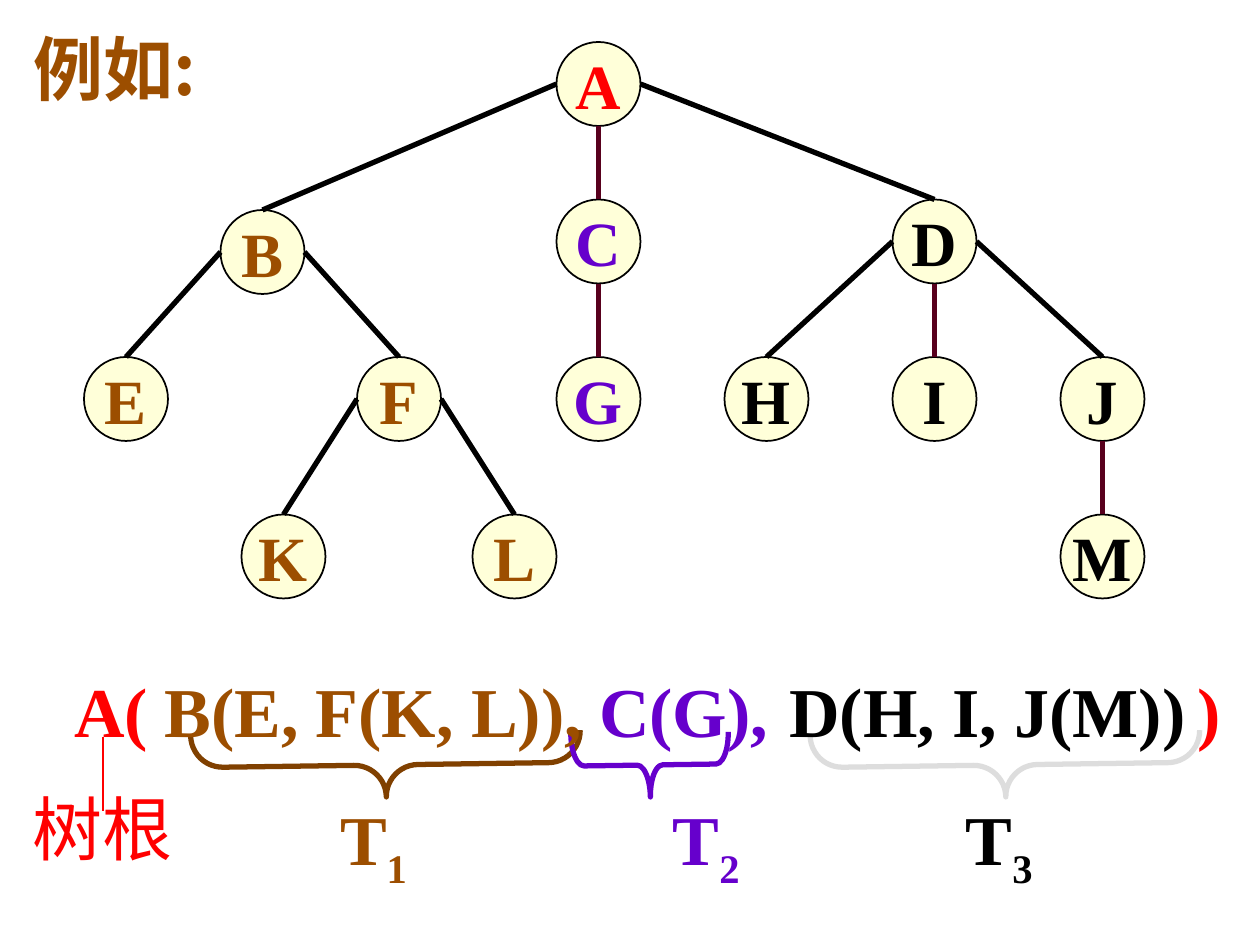
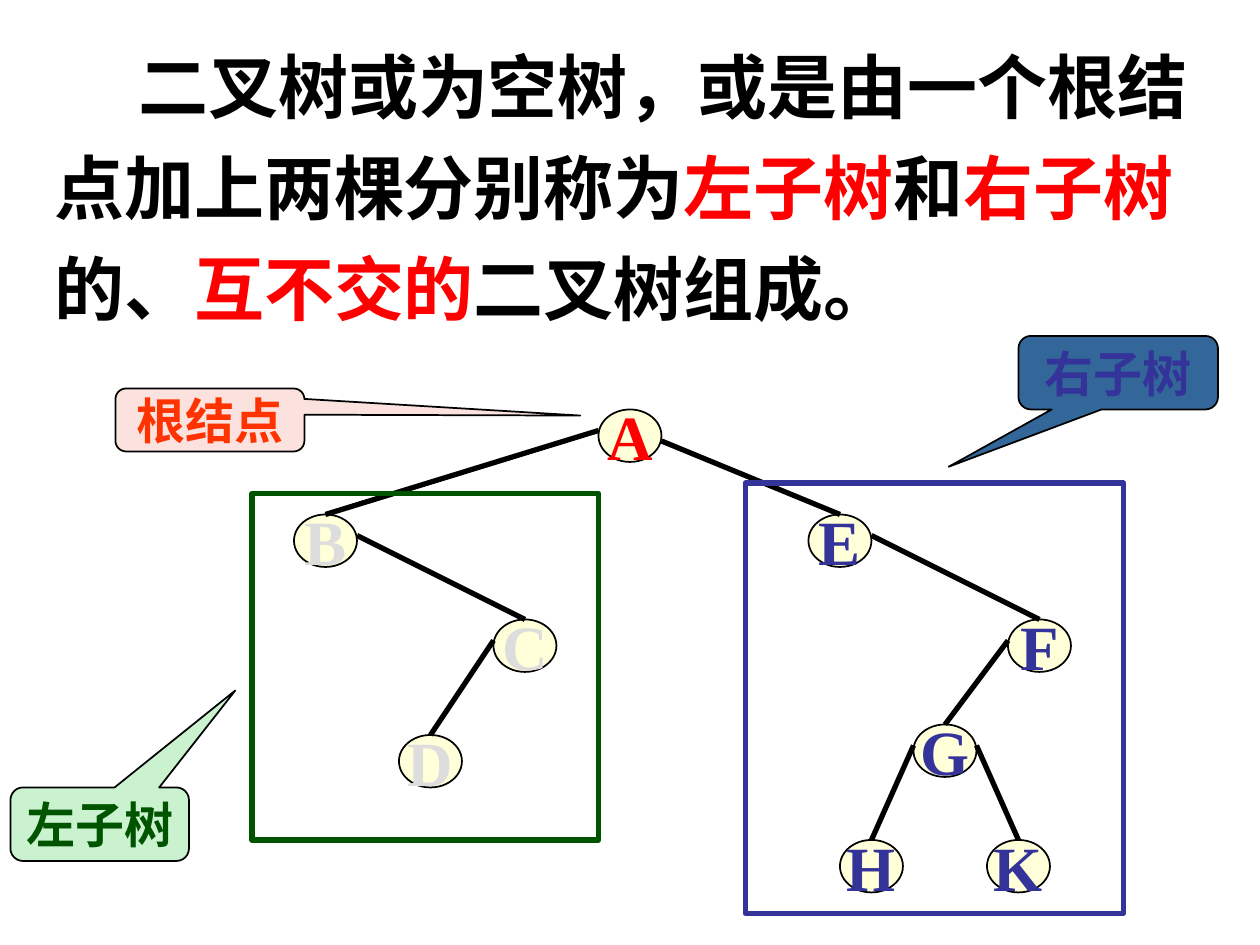
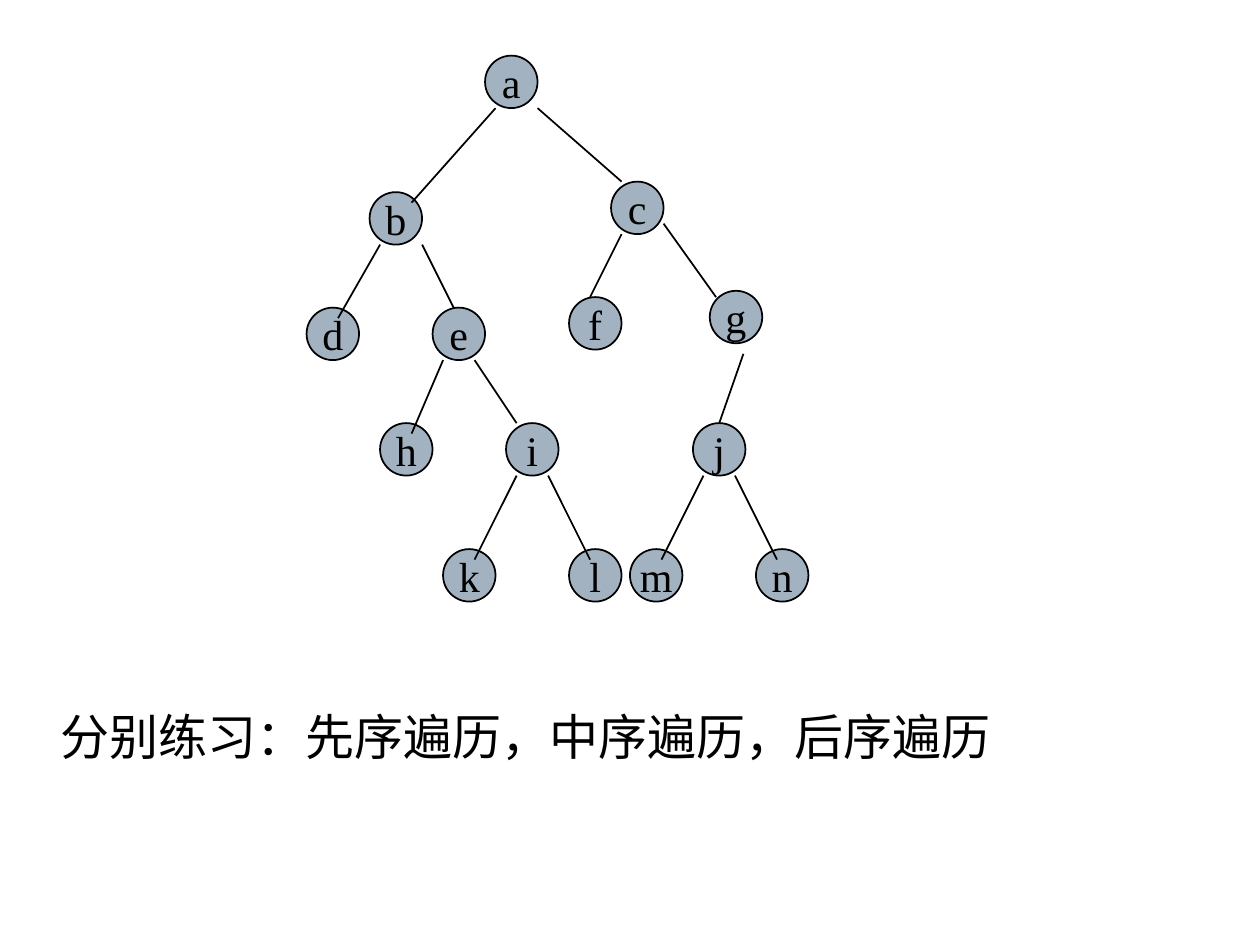
import pptx
import pptx.util
import pptx.dml.color
import pptx.enum.shapes
import pptx.enum.text
import pptx.oxml.ns
from dataclasses import dataclass
from lxml import etree

SHAPE = pptx.enum.shapes.MSO_SHAPE
ANCHOR = pptx.enum.text.MSO_ANCHOR
ALIGN = pptx.enum.text.PP_ALIGN
FIT = pptx.enum.text.MSO_AUTO_SIZE
EMU_PER_PX = 7620


@dataclass(frozen=True)
class Theme:
    serif: str = "Times New Roman"
    sans: str = "DejaVu Sans"
    cjk: str = "Noto Sans CJK SC"
    black: str = "000000"
    red: str = "FF0000"
    brown: str = "9C4E00"
    brace_brown: str = "804000"
    purple: str = "6600CC"
    maroon: str = "58001D"
    grey: str = "DDDDDD"
    green: str = "005400"
    indigo: str = "333399"
    orange: str = "FF3300"
    cream: str = "FFFFD9"
    slate: str = "A3B2C1"
    pink: str = "FBE2DF"
    mint: str = "CAF2CE"
    blue: str = "336699"
    body: int = 40
    node: int = 36
    note: int = 28
    small_node: int = 24
    thick: float = 3
    medium: float = 1.5
    thin: float = 1


T = Theme()


def px(n):
    return pptx.util.Emu(round(n * EMU_PER_PX))


def rgb(value):
    return pptx.dml.color.RGBColor.from_string(value)


def add_run(p, text, size, color, bold=True, font=T.serif, baseline=None):
    r = p.add_run()
    r.text = text
    r.font.size = pptx.util.Pt(size)
    r.font.bold = bold
    r.font.name = font
    r.font.color.rgb = rgb(color)
    r_pr = r.font._element
    ea = etree.SubElement(r_pr, pptx.oxml.ns.qn("a:ea"))
    ea.set("typeface", T.cjk)
    if baseline:
        r_pr.set("baseline", str(baseline))


def add_text(shapes, box, runs, wrap=False, anchor=ANCHOR.TOP):
    tf = shapes.add_textbox(*map(px, box)).text_frame
    tf.word_wrap = wrap
    tf.auto_size = FIT.SHAPE_TO_FIT_TEXT
    tf.vertical_anchor = anchor
    p = tf.paragraphs[0]
    for run in runs:
        add_run(p, **run)
    return p


def run(text, color, size=T.body, **style):
    return dict(text=text, color=color, size=size, **style)


def add_shape(shapes, kind, box, line, width, fill=None, adjustments=()):
    sp = shapes.add_shape(kind, *map(px, box))
    sp.shadow.inherit = False
    if fill:
        sp.fill.solid()
        sp.fill.fore_color.rgb = rgb(fill)
    else:
        sp.fill.background()
    sp.line.color.rgb = rgb(line)
    sp.line.width = pptx.util.Pt(width)
    for i, value in enumerate(adjustments):
        sp.adjustments[i] = value
    return sp


def add_label(sp, **style):
    tf = sp.text_frame
    tf.word_wrap = False
    tf.vertical_anchor = ANCHOR.MIDDLE
    p = tf.paragraphs[0]
    p.alignment = ALIGN.CENTER
    add_run(p, **style)


def add_line(shapes, start, end, color, width):
    cx = shapes.add_connector(pptx.enum.shapes.MSO_CONNECTOR.STRAIGHT,
                              *map(px, (*start, *end)))
    cx.line.color.rgb = rgb(color)
    cx.line.width = pptx.util.Pt(width)
    etree.SubElement(cx._element.spPr, pptx.oxml.ns.qn("a:effectLst"))


def add_nodes(shapes, nodes, size, fill, text_size, bold):
    for name, (x, y, color) in nodes.items():
        sp = add_shape(shapes, SHAPE.OVAL, (x, y, *size), T.black, T.thin, fill)
        add_label(sp, text=name, size=text_size, color=color, bold=bold)


def add_branches(shapes, nodes, edges, size, drop, drops=None):
    w, h = size
    for parent, child in edges:
        x, y, _ = nodes[parent]
        child_x, child_y, _ = nodes[child]
        end = (child_x + w / 2, child_y)
        if child_x == x:
            add_line(shapes, (x + w / 2, y + h), end, T.maroon, T.thick)
        else:
            side = x if child_x < x else x + w
            exit_y = y + (drops or {}).get(child, drop)
            add_line(shapes, (side, exit_y), end, T.black, T.thick)


def add_subtree_mark(shapes, box, number, brace_color, text_color, curve, label_x):
    x, y, w, h = box
    group = shapes.add_group_shape().shapes
    brace = add_shape(group, SHAPE.LEFT_BRACE,
                      (x + (w - h) / 2, y + (h - w) / 2, h, w),
                      brace_color, T.thick, adjustments=(curve, 0.5))
    brace.rotation = 269.2
    add_text(group, (label_x, y + 54, 107, 92),
             [run("T", text_color), run(number, text_color, baseline=-25000)],
             wrap=True)


def add_list_notation(shapes, x, y):
    p = add_text(shapes, (x, y, 1117, 92), [run("A(\t)", T.red)], wrap=True)
    tabs = etree.SubElement(p._p.get_or_add_pPr(), pptx.oxml.ns.qn("a:tabLst"))
    tab = etree.SubElement(tabs, pptx.oxml.ns.qn("a:tab"))
    tab.set("pos", str(px(1070)))
    tab.set("algn", "l")
    marks = (
        ((123, 68, 371, 61), "1", T.brace_brown, T.brown, 0.5, 253),
        ((713, 68, 371, 61), "3", T.grey, T.black, 0.5, 849),
        ((485, 68, 150, 61), "2", T.purple, T.purple, 0.2, 570),
    )
    for (left, top, w, h), number, brace, color, curve, label_x in marks:
        add_subtree_mark(shapes, (x + left, y + top, w, h), number, brace,
                         color, curve, x + label_x)
    add_line(shapes, (x + 39, y + 72), (x + 39, y + 142), T.red, T.medium)
    add_text(shapes, (x - 40, y + 112, 157, 92), [run("树根", T.red, bold=False)])
    for left, w, text, color in ((86, 439, "B(E, F(K, L)),", T.brown),
                                 (500, 202, "C(G),", T.purple),
                                 (681, 402, "D(H, I, J(M))", T.black)):
        add_text(shapes, (x + left, y, w, 92), [run(text, color)])


def general_tree_slide(slide):
    shapes = slide.shapes
    size = (80, 80)
    nodes = {
        "A": (530, 40, T.red), "B": (210, 200, T.brown),
        "C": (530, 190, T.purple), "D": (850, 190, T.black),
        "E": (80, 340, T.brown), "F": (340, 340, T.brown),
        "G": (530, 340, T.purple), "H": (690, 340, T.black),
        "I": (850, 340, T.black), "J": (1010, 340, T.black),
        "M": (1010, 490, T.black), "K": (230, 490, T.brown),
        "L": (450, 490, T.brown),
    }
    edges = ("AC", "CG", "DI", "JM", "DH", "DJ", "AD", "BE", "BF", "FK", "FL", "AB")
    add_nodes(shapes, nodes, size, T.cream, T.node, True)
    add_branches(shapes, nodes, edges, size, 40)
    add_list_notation(shapes, 59, 630)
    add_text(shapes, (20, 18, 192, 92), [run("例如:", T.brown, font=T.cjk)])


def add_definition(shapes, box):
    parts = (
        ("二叉树或为空树，或是由一个根结点加上两棵分别称为", T.black),
        ("左子树", T.red), ("和", T.black), ("右子树", T.red),
        ("的、", T.black), ("互不交的", T.red), ("二叉树组成。", T.black),
    )
    p = add_text(shapes, box, [run(*part) for part in parts], wrap=True)
    p.line_spacing = 1.2
    p._p.get_or_add_pPr().set("indent", str(px(80)))


def add_callout(shapes, box, text, fill, color, tip):
    sp = add_shape(shapes, SHAPE.ROUNDED_RECTANGULAR_CALLOUT, box, T.black,
                   T.thin, fill, (*tip, 0.17))
    add_label(sp, text=text, size=T.note, color=color)


def binary_tree_slide(slide):
    shapes = slide.shapes
    size = (60, 50)
    nodes = {
        "A": (570, 390, T.red), "B": (280, 490, T.grey),
        "C": (470, 590, T.grey), "D": (380, 700, T.grey),
        "E": (770, 490, T.indigo), "F": (960, 590, T.indigo),
        "G": (870, 690, T.indigo), "H": (800, 800, T.indigo),
        "K": (940, 800, T.indigo),
    }
    edges = ("AB", "BC", "CD", "AE", "EF", "FG", "GH", "GK")
    add_definition(shapes, (40, 20, 1130, 319))
    add_nodes(shapes, nodes, size, T.cream, T.node, True)
    add_branches(shapes, nodes, edges, size, 20, {"E": 30})
    for box, color in (((240, 470, 330, 330), T.green),
                       ((710, 460, 360, 410), T.indigo)):
        add_shape(shapes, SHAPE.RECTANGLE, box, color, T.thick)
    add_callout(shapes, (110, 370, 180, 60), "根结点", T.pink, T.orange, (1.96, -0.07))
    add_callout(shapes, (10, 750, 170, 70), "左子树", T.mint, T.green, (0.76, -1.82))
    add_callout(shapes, (970, 320, 190, 70), "右子树", T.blue, T.indigo, (-0.85, 1.28))


def traversal_slide(slide):
    shapes = slide.shapes
    places = {
        "a": (462, 53), "b": (352, 183), "e": (412, 293), "d": (292, 293),
        "c": (582, 173), "h": (362, 403), "i": (482, 403), "l": (542, 523),
        "k": (422, 523), "g": (676, 277), "f": (542, 283), "j": (660, 403),
        "n": (720, 523), "m": (600, 523),
    }
    joints = {
        "ab": (10, 50, 40, 10), "bd": (10, 50, 30, 10), "be": (50, 50, 20, 0),
        "eh": (10, 50, 30, 10), "ei": (40, 50, 10, 0), "il": (40, 50, 20, 10),
        "ik": (10, 50, 30, 10), "ac": (50, 50, 10, 0), "cf": (10, 50, 20, 0),
        "cg": (50, 40, 6, 6), "jn": (40, 50, 20, 10), "jm": (10, 50, 30, 10),
        "gj": (32, 60, 25, 0),
    }
    nodes = {name: (*place, T.black) for name, place in places.items()}
    add_nodes(shapes, nodes, (50, 50), T.slate, T.small_node, False)
    for (parent, child), (dx, dy, end_dx, end_dy) in joints.items():
        x, y = places[parent]
        end_x, end_y = places[child]
        add_line(shapes, (x + dx, y + dy), (end_x + end_dx, end_y + end_dy),
                 T.black, T.thin)
    add_text(shapes, (46, 667, 1057, 68),
             [run("分别练习：先序遍历，中序遍历，后序遍历", T.black, T.note,
                  bold=False, font=T.sans)],
             wrap=True, anchor=ANCHOR.BOTTOM)


def main():
    prs = pptx.Presentation()
    prs.slide_width, prs.slide_height = px(1200), px(900)
    for build in (general_tree_slide, binary_tree_slide, traversal_slide):
        build(prs.slides.add_slide(prs.slide_layouts[6]))
    prs.save("out.pptx")


if __name__ == "__main__":
    main()
